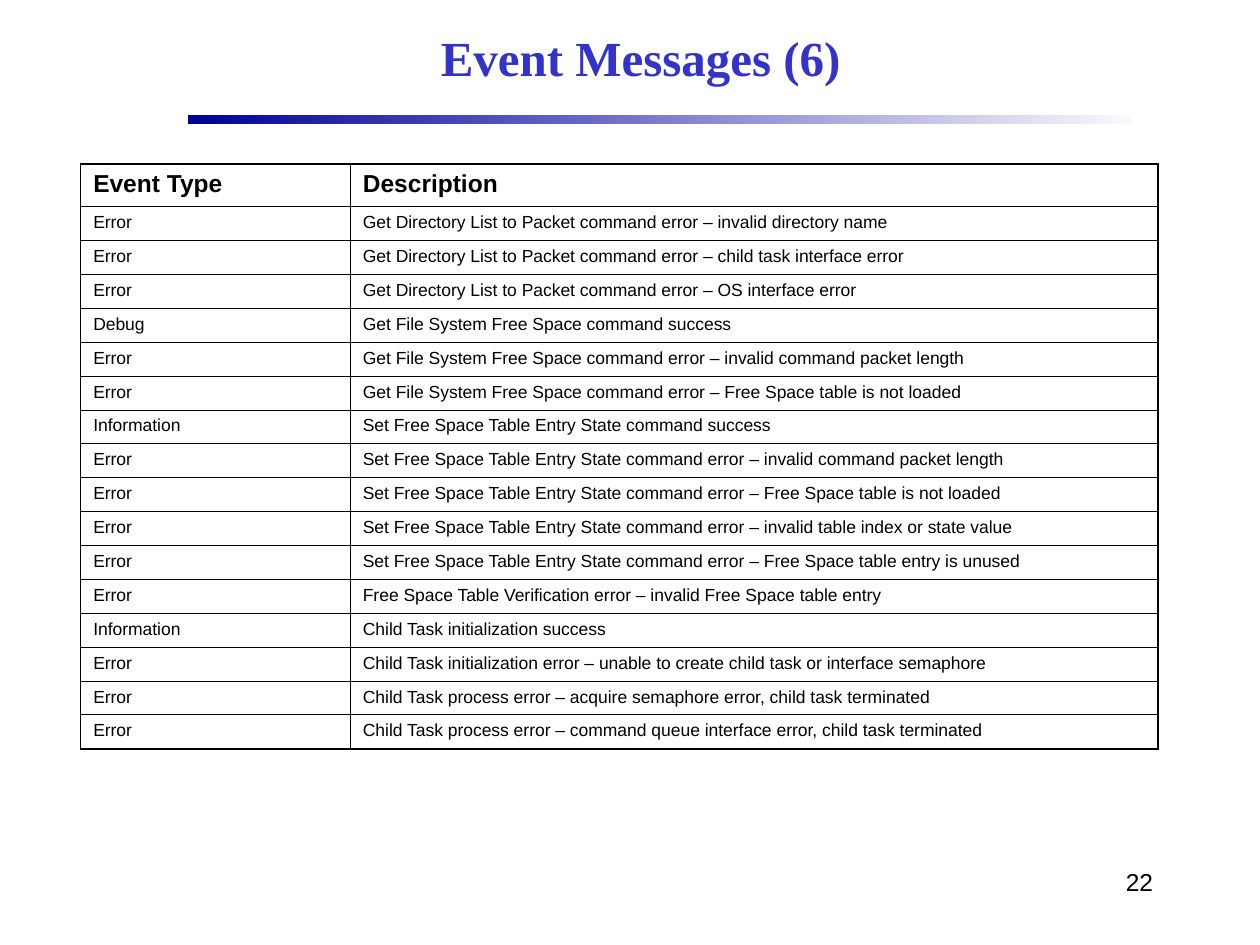
from lxml import etree
from pptx import Presentation
from pptx.dml.color import RGBColor
from pptx.enum.shapes import MSO_SHAPE
from pptx.enum.text import MSO_ANCHOR, PP_ALIGN
from pptx.oxml.ns import qn
from pptx.util import Inches, Pt

RECTANGLE = MSO_SHAPE.RECTANGLE
LEFT, CENTER, RIGHT = PP_ALIGN.LEFT, PP_ALIGN.CENTER, PP_ALIGN.RIGHT
TOP, MIDDLE = MSO_ANCHOR.TOP, MSO_ANCHOR.MIDDLE

BLACK = RGBColor(0x00, 0x00, 0x00)
TITLE_BLUE = RGBColor(0x33, 0x33, 0xCC)
RULE_START = RGBColor(0x00, 0x00, 0x99)
RULE_END = RGBColor(0xF9, 0xF9, 0xFD)

COLUMNS, ROWS = 100, 75
COLUMN_WIDTHS = (21.4, 64.1)
HEADER_HEIGHT, ROW_HEIGHT = 3.4, 2.69
THIN, THICK = 0.45, 1.08

HEADER = ("Event Type", "Description")
LISTING = "Get Directory List to Packet command"
FREE_SPACE = "Get File System Free Space command"
ENTRY_STATE = "Set Free Space Table Entry State command"
EVENTS = [
    ("Error", f"{LISTING} error – invalid directory name"),
    ("Error", f"{LISTING} error – child task interface error"),
    ("Error", f"{LISTING} error – OS interface error"),
    ("Debug", f"{FREE_SPACE} success"),
    ("Error", f"{FREE_SPACE} error – invalid command packet length"),
    ("Error", f"{FREE_SPACE} error – Free Space table is not loaded"),
    ("Information", f"{ENTRY_STATE} success"),
    ("Error", f"{ENTRY_STATE} error – invalid command packet length"),
    ("Error", f"{ENTRY_STATE} error – Free Space table is not loaded"),
    ("Error", f"{ENTRY_STATE} error – invalid table index or state value"),
    ("Error", f"{ENTRY_STATE} error – Free Space table entry is unused"),
    ("Error", "Free Space Table Verification error – invalid Free Space table entry"),
    ("Information", "Child Task initialization success"),
    ("Error", "Child Task initialization error – unable to create child task or interface semaphore"),
    ("Error", "Child Task process error – acquire semaphore error, child task terminated"),
    ("Error", "Child Task process error – command queue interface error, child task terminated"),
]


class EventPage:
    """Draws on one slide; lengths are columns and rows of a 100 by 75 grid."""

    body_font = "Arial"
    title_font = "Times New Roman"

    def __init__(self, deck):
        self.column = deck.slide_width / COLUMNS
        self.row = deck.slide_height / ROWS
        self.page = deck.slides.add_slide(deck.slide_layouts[6])

    def place(self, left, top, width, height):
        return (round(left * self.column), round(top * self.row),
                round(width * self.column), round(height * self.row))

    def set_text(self, frame, text, size, font=body_font, color=BLACK, bold=False,
                 align=LEFT, before=0):
        frame.text = text
        frame.word_wrap = True
        para = frame.paragraphs[0]
        para.alignment = align
        para.space_before = Pt(before)
        style = para.runs[0].font
        style.name, style.size, style.bold = font, Pt(size), bold
        style.color.rgb = color

    def gradient_rule(self, *area):
        rule = self.page.shapes.add_shape(RECTANGLE, *self.place(*area))
        rule.shadow.inherit = False
        rule.line.fill.background()
        rule.fill.gradient()
        rule.fill.gradient_angle = 0
        for stop, color, position in zip(rule.fill.gradient_stops,
                                         (RULE_START, RULE_END), (0, 1)):
            stop.color.rgb = color
            stop.position = position

    def text(self, text, area, anchor=TOP, **style):
        box = self.page.shapes.add_textbox(*self.place(*area))
        box.text_frame.vertical_anchor = anchor
        self.set_text(box.text_frame, text, **style)

    def border(self, cell, **widths):
        """Draw black cell edges; keys are L, R, T and B, in that order."""
        properties = cell._tc.get_or_add_tcPr()
        for side, width in widths.items():
            edge = etree.SubElement(properties, qn(f"a:ln{side}"), w=str(Pt(width)))
            fill = etree.SubElement(edge, qn("a:solidFill"))
            etree.SubElement(fill, qn("a:srgbClr"), val=str(BLACK))

    def table(self, records, left, top):
        last_row, last_column = len(records) - 1, len(COLUMN_WIDTHS) - 1
        heights = [HEADER_HEIGHT] + [ROW_HEIGHT] * last_row
        area = self.place(left, top, sum(COLUMN_WIDTHS), sum(heights))
        table = self.page.shapes.add_table(len(records), len(COLUMN_WIDTHS), *area).table
        table.first_row = table.horz_banding = False
        for column, width in zip(table.columns, COLUMN_WIDTHS):
            column.width = round(width * self.column)
        for r, (record, height) in enumerate(zip(records, heights)):
            table.rows[r].height = round(height * self.row)
            is_header = r == 0
            for c, text in enumerate(record):
                cell = table.cell(r, c)
                self.set_text(cell.text_frame, text, size=14 if is_header else 10,
                              bold=is_header, before=6.1 if is_header else 4.4)
                self.border(cell,
                            L=THICK if c == 0 else THIN,
                            R=THICK if c == last_column else THIN,
                            T=THICK if is_header else THIN,
                            B=THICK if r == last_row else THIN)
                cell.fill.background()


def main():
    deck = Presentation()
    deck.slide_width, deck.slide_height = Inches(10), Inches(7.5)
    page = EventPage(deck)
    page.gradient_rule(14.9, 9.15, 74.9, 0.7)
    page.text("22", (71.7, 68.3, 20.8, 5), size=14, align=RIGHT)
    page.text("Event Messages (6)", (15, 0.8, 71.7, 7.5), anchor=MIDDLE, size=28,
              font=page.title_font, color=TITLE_BLUE, bold=True, align=CENTER)
    page.table([HEADER] + EVENTS, 6.4, 13)
    deck.save("out.pptx")


if __name__ == "__main__":
    main()
